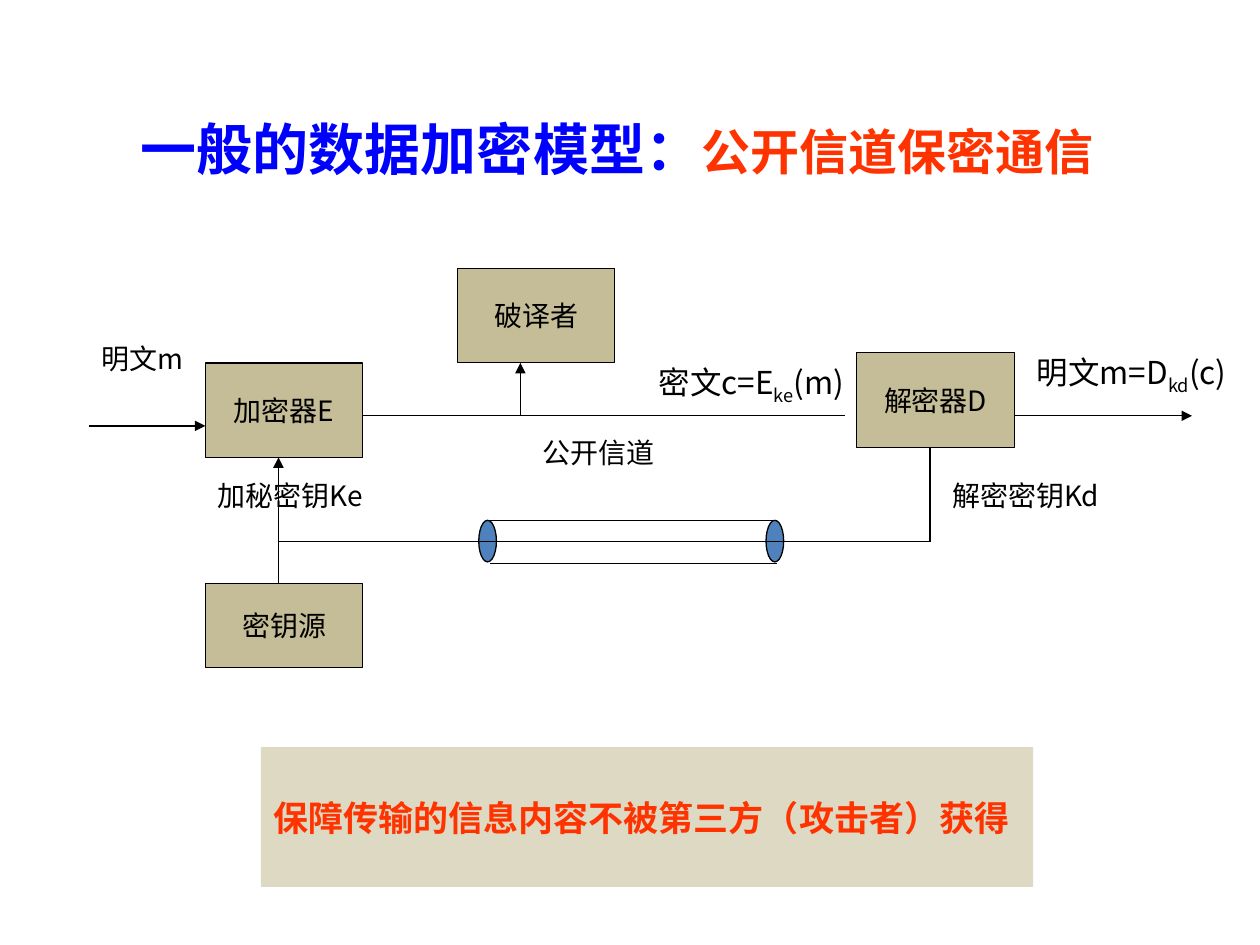
from lxml.etree import SubElement
from pptx import Presentation
from pptx.dml.color import RGBColor
from pptx.enum.shapes import MSO_CONNECTOR, MSO_SHAPE
from pptx.enum.text import MSO_ANCHOR, PP_ALIGN
from pptx.oxml.ns import qn
from pptx.util import Inches, Pt


def color(hex_text):
    return RGBColor.from_string(hex_text)


def style(shape, fill):
    shape.shadow.inherit = False
    shape.fill.solid()
    shape.fill.fore_color.rgb = color(fill)
    shape.line.color.rgb = color("000000")
    shape.line.width = Pt(0.75)


deck = Presentation()
deck.slide_width, deck.slide_height = Inches(10), Inches(7.5)
slide = deck.slides.add_slide(deck.slide_layouts[6])
shapes = slide.shapes

title = shapes.add_textbox(Inches(1.02), Inches(0.86), Inches(8.83), Inches(0.67))
title.text_frame.word_wrap = True
heading = title.text_frame.paragraphs[0]
for words, size, ink in [("一般的数据加密模型：", 32, "0000FF"), ("公开信道保密通信", 28, "FF3300")]:
    run = heading.add_run()
    run.text = words
    run.font.name = "Calibri"
    run.font.size = Pt(size)
    run.font.bold = True
    run.font.color.rgb = color(ink)

stations = [
    ("加密器E", 1.63, 2.88, 0.75),
    ("密钥源", 1.63, 4.63, 0.67),
    ("解密器D", 6.8, 2.8, 0.75),
    ("破译者", 3.63, 2.13, 0.75),
]
for name, left, top, height in stations:
    station = shapes.add_shape(MSO_SHAPE.RECTANGLE, Inches(left), Inches(top), Inches(1.25), Inches(height))
    style(station, "C4BD97")
    frame = station.text_frame
    frame.word_wrap = False
    frame.vertical_anchor = MSO_ANCHOR.MIDDLE
    caption = frame.paragraphs[0]
    caption.text = name
    caption.alignment = PP_ALIGN.CENTER
    caption.font.name = "Noto Sans CJK SC"
    caption.font.size = Pt(16)
    caption.font.color.rgb = color("000000")

for left in (3.8, 6.08):
    pipe_end = shapes.add_shape(MSO_SHAPE.OVAL, Inches(left), Inches(4.13), Inches(0.14), Inches(0.33))
    style(pipe_end, "4F81BD")

links = [
    (2.21, 4.63, 2.21, 3.63, True),
    (0.71, 3.38, 1.63, 3.38, True),
    (2.88, 3.3, 6.71, 3.3, False),
    (3.89, 4.13, 6.17, 4.13, False),
    (3.89, 4.47, 6.17, 4.47, False),
    (2.21, 4.3, 7.38, 4.3, False),
    (7.38, 3.55, 7.38, 4.3, False),
    (8.05, 3.3, 9.46, 3.3, True),
    (4.13, 3.3, 4.13, 2.88, True),
]
for x1, y1, x2, y2, has_arrow in links:
    link = shapes.add_connector(MSO_CONNECTOR.STRAIGHT, Inches(x1), Inches(y1), Inches(x2), Inches(y2))
    link.line.color.rgb = color("000000")
    link.line.width = Pt(0.75)
    properties = link._element.spPr
    if has_arrow:
        SubElement(properties.find(qn("a:ln")), qn("a:tailEnd"), type="triangle")
    SubElement(properties, qn("a:effectLst"))

labels = [
    (["加秘密钥Ke"], 1.63, 3.72, 1.45, 0.42, 16),
    (["明文m"], 0.71, 2.63, 0.92, 0.42, 16),
    (["密文c=E", "ke", "(m)"], 5.13, 2.8, 1.8, 0.5, 18),
    (["公开信道"], 4.21, 3.38, 1.15, 0.42, 16),
    (["解密密钥Kd"], 7.46, 3.72, 1.45, 0.42, 16),
    (["明文m=D", "kd", "(c)"], 8.13, 2.72, 1.8, 0.5, 18),
]
for parts, left, top, width, height, size in labels:
    label = shapes.add_textbox(Inches(left), Inches(top), Inches(width), Inches(height))
    frame = label.text_frame
    frame.word_wrap = True
    frame.margin_right = 0
    frame.vertical_anchor = MSO_ANCHOR.MIDDLE
    formula = frame.paragraphs[0]
    formula.font.name = "Noto Sans CJK SC"
    formula.font.size = Pt(size)
    formula.font.color.rgb = color("000000")
    for index, part in enumerate(parts):
        run = formula.add_run()
        run.text = part
        if index == 1:
            run._r.get_or_add_rPr().set("baseline", "-25000")

goal = shapes.add_shape(MSO_SHAPE.RECTANGLE, Inches(2.07), Inches(5.93), Inches(6.13), Inches(1.11))
style(goal, "DDD9C3")
goal.line.fill.background()
goal.text_frame.word_wrap = False
goal.text_frame.vertical_anchor = MSO_ANCHOR.MIDDLE
statement = goal.text_frame.paragraphs[0]
statement.text = "保障传输的信息内容不被第三方（攻击者）获得"
statement.alignment = PP_ALIGN.LEFT
statement.font.name = "Arial"
statement.font.size = Pt(20)
statement.font.bold = True
statement.font.color.rgb = color("FF3300")

deck.save("out.pptx")
